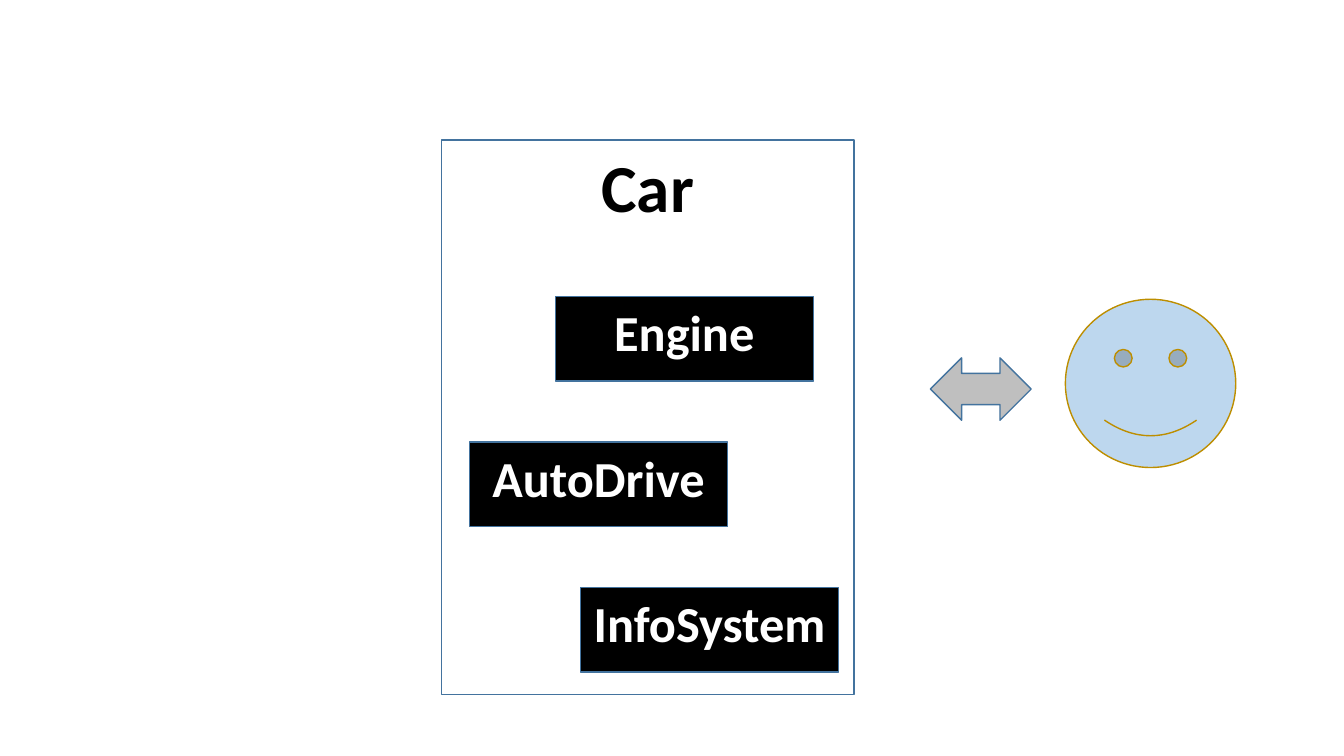
from pptx import Presentation
from pptx.dml.color import RGBColor
from pptx.enum.shapes import MSO_SHAPE
from pptx.enum.text import MSO_ANCHOR, PP_ALIGN
from pptx.util import Pt

RECTANGLE = MSO_SHAPE.RECTANGLE
SMILEY = MSO_SHAPE.SMILEY_FACE
DOUBLE_ARROW = MSO_SHAPE.LEFT_RIGHT_ARROW
TOP = MSO_ANCHOR.TOP
CENTER = PP_ALIGN.CENTER

BLANK_LAYOUT = 6
FONT = "Calibri"
BLUE_LINE = "43739E"
BLACK = "000000"
WHITE = "FFFFFF"

MODULES = [("Engine", 396.7), ("AutoDrive", 335.5), ("InfoSystem", 414.7)]
MODULE_TOP = 211.7
MODULE_PITCH = 104
MODULE_WIDTH = 184.3
MODULE_HEIGHT = 60.5


def color(hex_string):
    """Return the colour for a hex string."""
    return RGBColor.from_string(hex_string)


def add_figure(slide, kind, left, top, width, height, fill=None, line=BLUE_LINE):
    """Add a preset shape with a thin outline and an optional fill."""
    shape = slide.shapes.add_shape(kind, Pt(left), Pt(top), Pt(width), Pt(height))
    shape.shadow.inherit = False
    if fill:
        shape.fill.solid()
        shape.fill.fore_color.rgb = color(fill)
    else:
        shape.fill.background()
    shape.line.color.rgb = color(line)
    shape.line.width = Pt(1)
    return shape


def add_label(shape, text, size, text_color):
    """Write a bold centred label at the top of a shape."""
    frame = shape.text_frame
    frame.word_wrap = True
    frame.vertical_anchor = TOP
    paragraph = frame.paragraphs[0]
    paragraph.alignment = CENTER
    run = paragraph.add_run()
    run.text = text
    run.font.name = FONT
    run.font.size = Pt(size)
    run.font.bold = True
    run.font.color.rgb = color(text_color)


def add_modules(slide):
    """Stack the car's modules at an equal vertical pitch."""
    for index, (name, left) in enumerate(MODULES):
        top = MODULE_TOP + index * MODULE_PITCH
        module = add_figure(slide, RECTANGLE, left, top, MODULE_WIDTH, MODULE_HEIGHT, BLACK)
        add_label(module, name, 36, WHITE)


def main():
    """Build the slide of a car, its modules and its user."""
    presentation = Presentation()
    presentation.slide_width = Pt(960)
    presentation.slide_height = Pt(540)
    slide = presentation.slides.add_slide(presentation.slide_layouts[BLANK_LAYOUT])

    car = add_figure(slide, RECTANGLE, 315.4, 100.1, 294.5, 396)
    add_label(car, "Car", 48, BLACK)
    add_figure(slide, SMILEY, 761, 213.8, 121.7, 120.2, "BDD7EE", "BD8E00")
    add_figure(slide, DOUBLE_ARROW, 664.6, 255.6, 72, 44.6, "BFBFBF")
    add_modules(slide)

    presentation.save("out.pptx")


if __name__ == "__main__":
    main()
